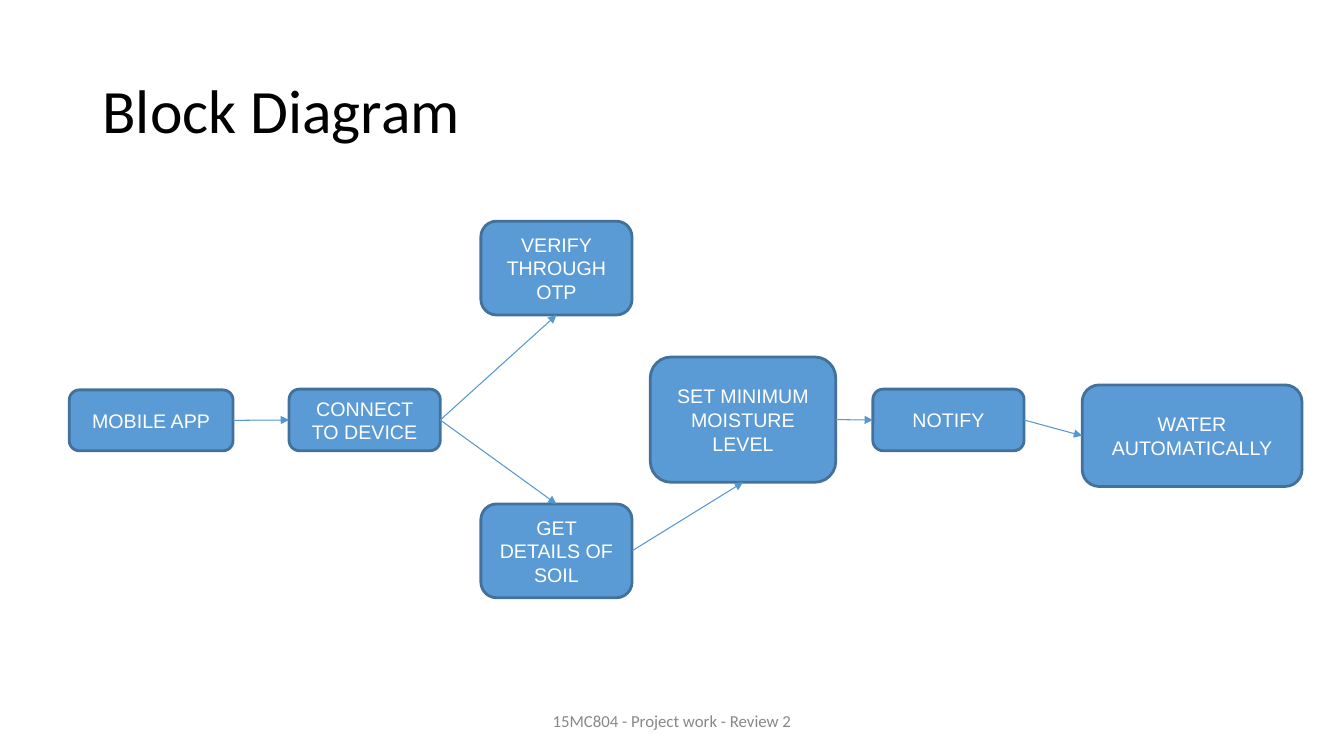
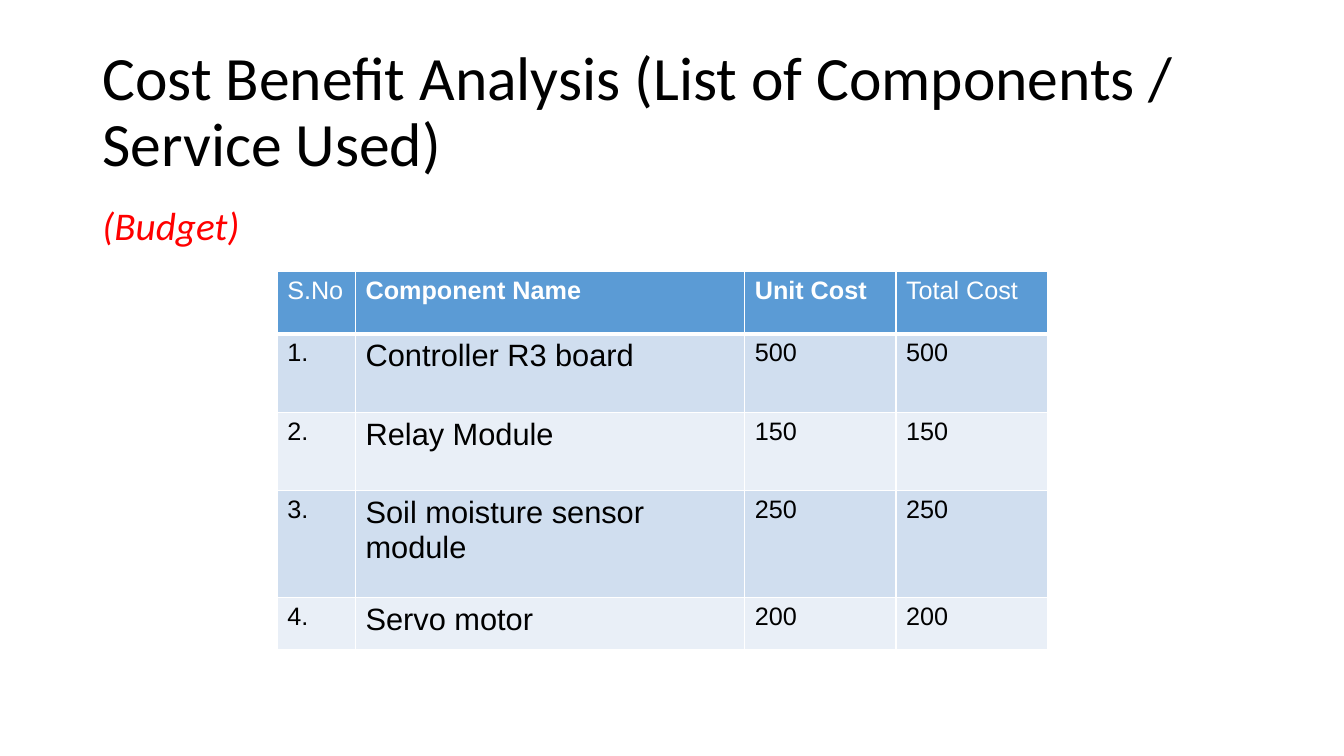
"""Build the block diagram and budget slides of a project review."""
from dataclasses import dataclass

from lxml.etree import SubElement
from pptx import Presentation
from pptx.dml.color import RGBColor
from pptx.enum.shapes import MSO_CONNECTOR as Connector, MSO_SHAPE as Preset
from pptx.enum.text import MSO_ANCHOR as Anchor, MSO_AUTO_SIZE as AutoSize, PP_ALIGN as Align
from pptx.oxml.ns import qn
from pptx.slide import Slide
from pptx.util import Pt

BLACK = RGBColor(0x00, 0x00, 0x00)
WHITE = RGBColor(0xFF, 0xFF, 0xFF)
RED = RGBColor(0xFF, 0x00, 0x00)
GREY = RGBColor(0x88, 0x88, 0x88)
BLUE = RGBColor(0x5B, 0x9B, 0xD5)
DARK_BLUE = RGBColor(0x42, 0x71, 0x9B)
ARROW_BLUE = RGBColor(0x55, 0x97, 0xD3)
BANDS = (RGBColor(0xD0, 0xDE, 0xEF), RGBColor(0xE9, 0xEF, 0xF7))

HEADING_FONT = "Calibri"
LABEL_FONT = "Arial"
TOP, LEFT, BOTTOM, RIGHT = range(4)


@dataclass(frozen=True)
class Box:
    left: float
    top: float
    width: float
    height: float

    def lengths(self) -> tuple[Pt, Pt, Pt, Pt]:
        return Pt(self.left), Pt(self.top), Pt(self.width), Pt(self.height)


@dataclass(frozen=True)
class TextStyle:
    size: float
    color: RGBColor
    font: str = LABEL_FONT
    bold: bool = False
    italic: bool = False


@dataclass(frozen=True)
class Step:
    label: str
    box: Box


@dataclass(frozen=True)
class Flow:
    source: Step
    source_side: int
    target: Step
    target_side: int


@dataclass(frozen=True)
class Column:
    heading: str
    width: float
    heading_bold: bool
    size: float


TITLE_BOX = Box(66, 29, 828, 104)
SUBTITLE_BOX = Box(66, 144, 828, 343)
FOOTER_BOX = Box(318, 500.5, 324, 29)

TITLE_STYLE = TextStyle(44, BLACK, HEADING_FONT)
SUBTITLE_STYLE = TextStyle(28, RED, HEADING_FONT, italic=True)
FOOTER_STYLE = TextStyle(12, GREY, HEADING_FONT)
STEP_STYLE = TextStyle(14, WHITE)

APP = Step("MOBILE APP", Box(49.5, 278.5, 117, 43.5))
CONNECT = Step("CONNECT TO DEVICE", Box(206.5, 278, 108, 44))
VERIFY = Step("VERIFY THROUGH OTP", Box(343.5, 158, 108, 67))
SOIL = Step("GET DETAILS OF SOIL", Box(343.5, 360, 108, 67))
MOISTURE = Step("SET MINIMUM MOISTURE LEVEL", Box(464.5, 255, 132.5, 89.5))
NOTIFY = Step("NOTIFY", Box(623.5, 278, 108, 44))
WATER = Step("WATER AUTOMATICALLY", Box(773, 275, 157, 72.5))
STEPS = (APP, CONNECT, VERIFY, SOIL, MOISTURE, NOTIFY, WATER)

FLOWS = (
    Flow(APP, RIGHT, CONNECT, LEFT),
    Flow(CONNECT, RIGHT, VERIFY, BOTTOM),
    Flow(CONNECT, RIGHT, SOIL, TOP),
    Flow(SOIL, RIGHT, MOISTURE, BOTTOM),
    Flow(MOISTURE, RIGHT, NOTIFY, LEFT),
    Flow(NOTIFY, RIGHT, WATER, LEFT),
)

COLUMNS = (
    Column("S.No", 56, False, 18),
    Column("Component Name", 278, True, 22),
    Column("Unit Cost", 108, True, 18),
    Column("Total Cost", 108, False, 18),
)
COMPONENTS = (
    ("Controller R3 board", 500),
    ("Relay Module", 150),
    ("Soil moisture sensor module", 250),
    ("Servo motor", 200),
)
ROW_HEIGHTS = (44.5, 56, 56, 76.5, 37)
TABLE_BOX = Box(198, 194, sum(column.width for column in COLUMNS), sum(ROW_HEIGHTS))


def add_text(paragraph, text: str, style: TextStyle) -> None:
    run = paragraph.add_run()
    run.text = text
    font = run.font
    font.name = style.font
    font.size = Pt(style.size)
    font.color.rgb = style.color
    font.bold = style.bold
    font.italic = style.italic


def fill_placeholder(placeholder, box: Box, text: str, style: TextStyle, anchor: Anchor):
    placeholder.left, placeholder.top, placeholder.width, placeholder.height = box.lengths()
    frame = placeholder.text_frame
    frame.auto_size = AutoSize.NONE
    frame.vertical_anchor = anchor
    paragraph = frame.paragraphs[0]
    paragraph.alignment = Align.LEFT
    paragraph.line_spacing = 0.9
    paragraph.space_before = Pt(0)
    add_text(paragraph, text, style)
    return paragraph


def add_titled_slide(deck, layout: int, title: str) -> Slide:
    slide = deck.slides.add_slide(deck.slide_layouts[layout])
    fill_placeholder(slide.shapes.title, TITLE_BOX, title, TITLE_STYLE, Anchor.MIDDLE)
    return slide


def add_footer(slide: Slide, text: str) -> None:
    frame = slide.shapes.add_textbox(*FOOTER_BOX.lengths()).text_frame
    frame.word_wrap = True
    frame.vertical_anchor = Anchor.MIDDLE
    frame.paragraphs[0].alignment = Align.CENTER
    add_text(frame.paragraphs[0], text, FOOTER_STYLE)


def add_step(slide: Slide, step: Step):
    block = slide.shapes.add_shape(Preset.ROUNDED_RECTANGLE, *step.box.lengths())
    block.shadow.inherit = False
    block.fill.solid()
    block.fill.fore_color.rgb = BLUE
    block.line.color.rgb = DARK_BLUE
    block.line.width = Pt(2)
    frame = block.text_frame
    frame.word_wrap = True
    frame.vertical_anchor = Anchor.MIDDLE
    frame.paragraphs[0].alignment = Align.CENTER
    add_text(frame.paragraphs[0], step.label, STEP_STYLE)
    return block


def add_flow(slide: Slide, flow: Flow, blocks: dict) -> None:
    arrow = slide.shapes.add_connector(Connector.STRAIGHT, Pt(0), Pt(0), Pt(0), Pt(0))
    arrow.begin_connect(blocks[flow.source], flow.source_side)
    arrow.end_connect(blocks[flow.target], flow.target_side)
    arrow.line.color.rgb = ARROW_BLUE
    arrow.line.width = Pt(0.75)
    properties = arrow.element.spPr
    SubElement(properties.find(qn("a:ln")), qn("a:tailEnd"), type="triangle")
    SubElement(properties, qn("a:effectLst"))


def add_borders(cell, row: int) -> None:
    heavy_side = {0: "lnB", 1: "lnT"}.get(row)
    properties = cell._tc.get_or_add_tcPr()
    for side in ("lnL", "lnR", "lnT", "lnB"):
        width = Pt(3 if side == heavy_side else 1)
        border = SubElement(properties, qn(f"a:{side}"), w=str(width))
        color = SubElement(border, qn("a:solidFill"))
        SubElement(color, qn("a:srgbClr"), val=str(WHITE))


def fill_cell(cell, row: int, text: str, style: TextStyle) -> None:
    add_borders(cell, row)
    cell.fill.solid()
    cell.fill.fore_color.rgb = BANDS[(row - 1) % 2] if row else BLUE
    add_text(cell.text_frame.paragraphs[0], text, style)


def add_budget(slide: Slide) -> None:
    frame = slide.shapes.add_table(len(ROW_HEIGHTS), len(COLUMNS), *TABLE_BOX.lengths())
    budget = frame.table
    budget.horz_banding = False
    for row, height in enumerate(ROW_HEIGHTS):
        budget.rows[row].height = Pt(height)
    for index, column in enumerate(COLUMNS):
        budget.columns[index].width = Pt(column.width)
        heading_style = TextStyle(18, WHITE, bold=column.heading_bold)
        fill_cell(budget.cell(0, index), 0, column.heading, heading_style)
    for row, (component, cost) in enumerate(COMPONENTS, start=1):
        values = (f"{row}.", component, str(cost), str(cost))
        for index, (value, column) in enumerate(zip(values, COLUMNS)):
            fill_cell(budget.cell(row, index), row, value, TextStyle(column.size, BLACK))


def build_diagram(deck) -> None:
    slide = add_titled_slide(deck, 5, "Block Diagram")
    add_footer(slide, "15MC804 - Project work - Review 2")
    blocks = {step: add_step(slide, step) for step in STEPS}
    for flow in FLOWS:
        add_flow(slide, flow, blocks)


def build_cost_analysis(deck) -> None:
    title = "Cost Benefit Analysis (List of Components / Service Used)"
    slide = add_titled_slide(deck, 1, title)
    subtitle = fill_placeholder(
        slide.placeholders[1], SUBTITLE_BOX, "(Budget)", SUBTITLE_STYLE, Anchor.TOP
    )
    properties = subtitle._p.get_or_add_pPr()
    properties.set("marL", str(Pt(18)))
    properties.set("indent", str(Pt(-18)))
    SubElement(properties, qn("a:buNone"))
    add_budget(slide)


def main() -> None:
    deck = Presentation()
    deck.slide_width, deck.slide_height = Pt(960), Pt(540)
    build_diagram(deck)
    build_cost_analysis(deck)
    deck.save("out.pptx")


if __name__ == "__main__":
    main()
